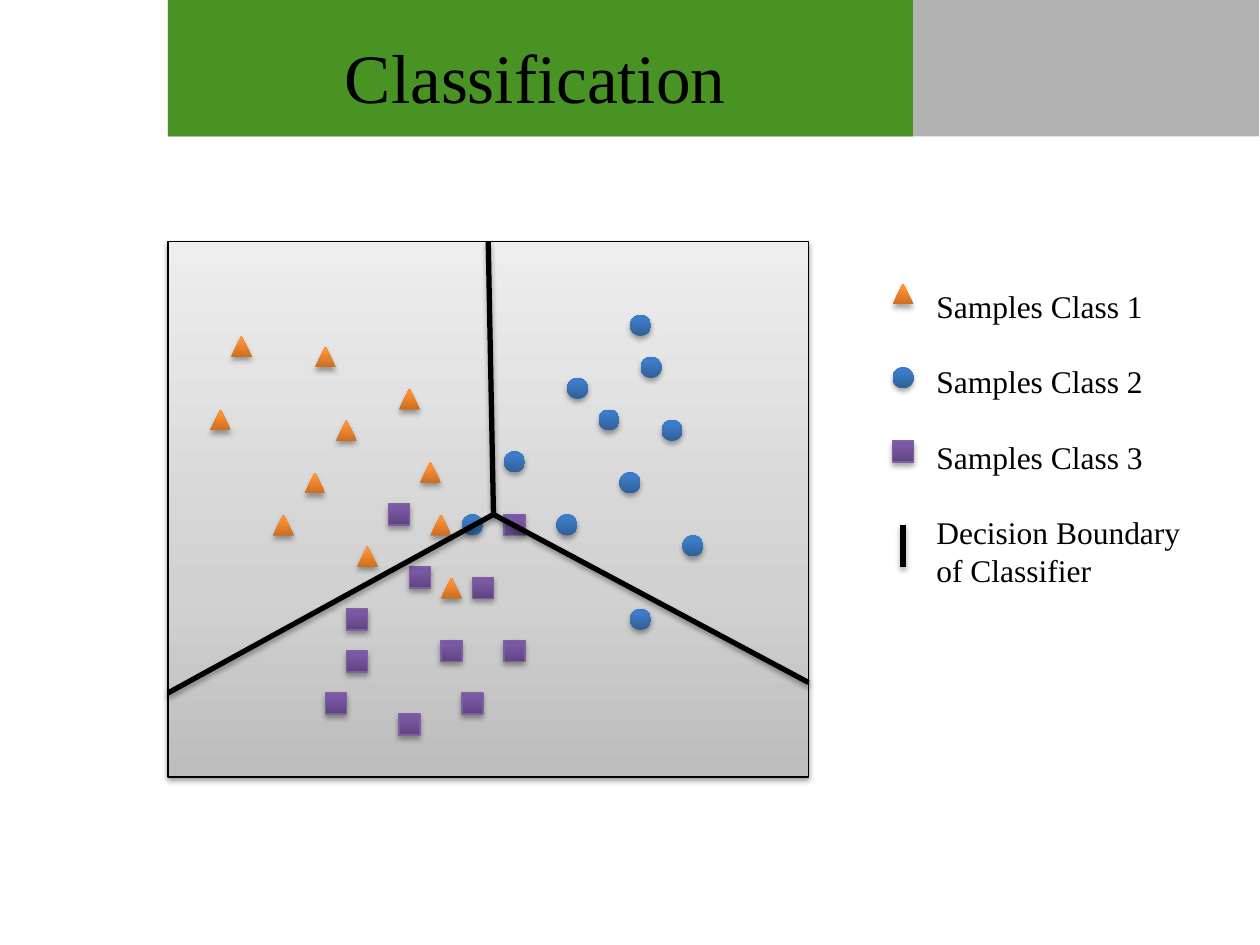
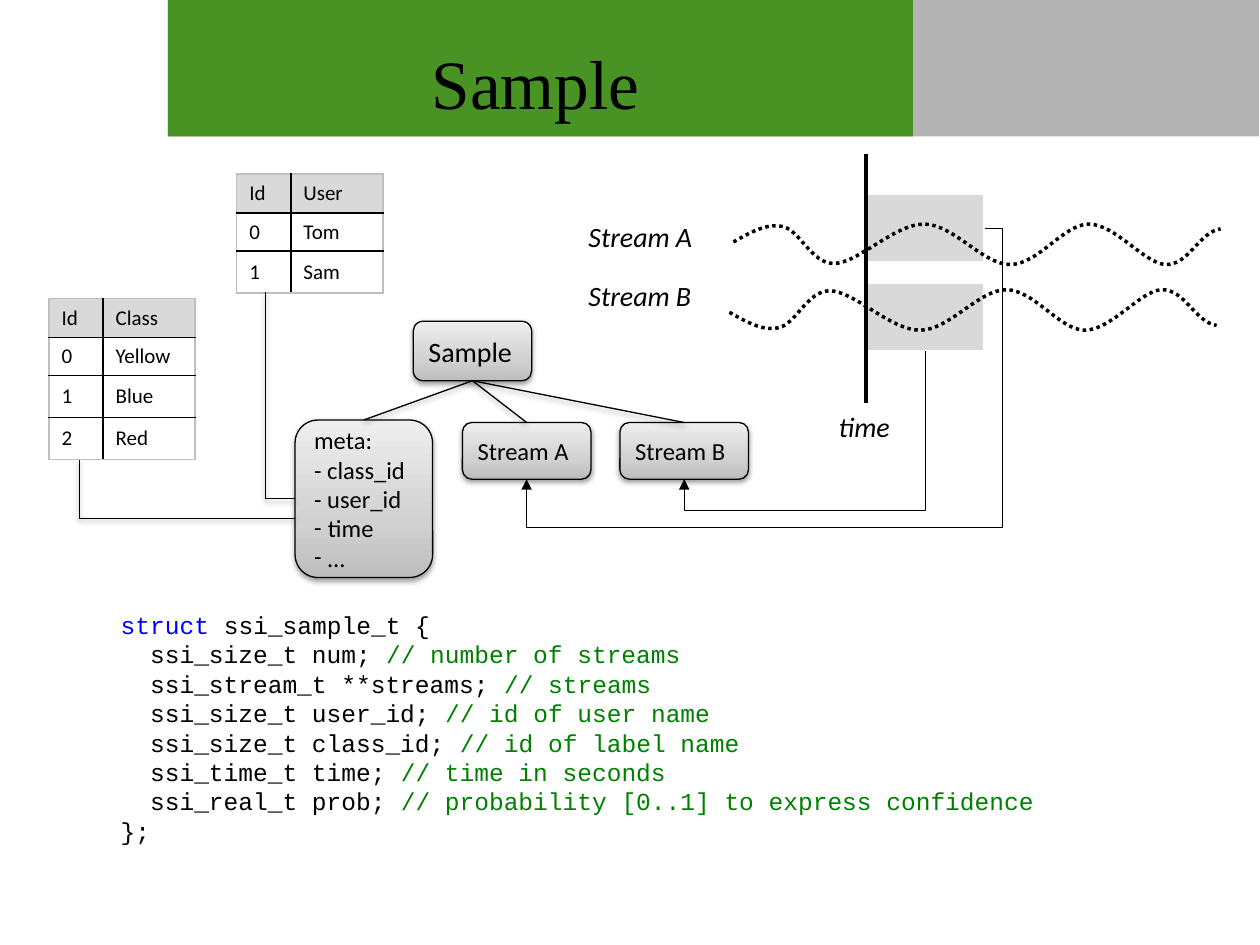
from copy import deepcopy
from dataclasses import dataclass
from typing import Optional, Sequence

from lxml import etree
from pptx import Presentation
from pptx.dml.color import RGBColor
from pptx.enum.dml import MSO_LINE
from pptx.enum.shapes import MSO_CONNECTOR, MSO_SHAPE
from pptx.enum.text import MSO_ANCHOR, PP_ALIGN
from pptx.oxml.ns import qn
from pptx.util import Inches, Pt

WIDTH, HEIGHT = Inches(10), Inches(7.5)
CELL = WIDTH / 120
RECTANGLE, ROUNDED = MSO_SHAPE.RECTANGLE, MSO_SHAPE.ROUNDED_RECTANGLE
TRIANGLE, CIRCLE = MSO_SHAPE.ISOSCELES_TRIANGLE, MSO_SHAPE.OVAL
STRAIGHT, ELBOW = MSO_CONNECTOR.STRAIGHT, MSO_CONNECTOR.ELBOW
DOTTED, MIDDLE = MSO_LINE.ROUND_DOT, MSO_ANCHOR.MIDDLE
LEFT, CENTER = PP_ALIGN.LEFT, PP_ALIGN.CENTER
TOP_SIDE, LEFT_SIDE, BOTTOM_SIDE, RIGHT_SIDE = range(4)
SERIF, SANS, MONO = "Times New Roman", "Calibri", "Courier New"
COLORS = {
    "black": "000000", "white": "FFFFFF", "green": "489324", "gray": "B3B3B3",
    "pale": "D9D9D9", "edge": "BFBFBF", "violet": "7D60A0",
    "keyword": "0000FF", "comment": "008000",
}
PANEL_STOPS = ((0, "BDBDBD"), (0.35, "D1D1D1"), (1, "EEEEEE"))
ORANGE_STOPS = ((0, "CC6E20"), (0.8, "FF9034"), (1, "FF9136"))
BLUE_STOPS = ((0, "2F5F99"), (0.8, "3D7CC7"), (1, "3A7CCB"))
VIOLET_STOPS = ((0, "5F4480"), (0.8, "7B58A6"), (1, "7C57A8"))


@dataclass(frozen=True)
class Frame:
    """A place on the 120 by 90 grid of the slide."""
    left: float
    top: float
    width: float
    height: float

    def lengths(self) -> list[int]:
        """Return the place as lengths."""
        return [cells(value) for value in (self.left, self.top, self.width, self.height)]


@dataclass(frozen=True)
class Shadow:
    """A shadow straight below its object."""
    alpha: int
    distance: float


@dataclass(frozen=True)
class SampleClass:
    """One class of samples: its marker, its legend row and its points."""
    preset: int
    stops: tuple
    outline: Optional[str]
    legend_row: float
    points: tuple


@dataclass(frozen=True)
class Node:
    """A box of the sample tree, with plain lines and dashed items."""
    frame: Frame
    lines: tuple
    items: tuple = ()
    size: int = 14


@dataclass(frozen=True)
class Lookup:
    """A small table of ids and names."""
    left: float
    top: float
    rows: tuple


PANEL_SHADOW, MARK_SHADOW = Shadow(38, 1.6), Shadow(35, 1.8)
CLASSES = (
    SampleClass(TRIANGLE, ORANGE_STOPS, None, 27, (
        (22, 32), (30, 33), (20, 39), (26, 49), (32, 40), (29, 45),
        (38, 37), (34, 52), (40, 44), (41, 49), (42, 55))),
    SampleClass(CIRCLE, BLUE_STOPS, None, 35, (
        (60, 30), (57, 39), (61, 34), (59, 45), (63, 40), (48, 43),
        (53, 49), (65, 51), (60, 58), (54, 36), (44, 49))),
    SampleClass(RECTANGLE, VIOLET_STOPS, "violet", 42, (
        (45, 55), (38, 68), (42, 61), (44, 66), (48, 61), (48, 49),
        (31, 66), (33, 58), (39, 54), (33, 62), (37, 48))),
)
LEGEND = ("Samples Class 1", "Samples Class 2", "Samples Class 3",
          "Decision Boundary\vof Classifier")
BOUNDARIES = ((46.5, 23, 47, 49), (47, 49, 16, 66), (47, 49, 77, 65), (86, 50, 86, 54))
ROOT = Node(Frame(39.36, 30.6, 11.28, 5.66), ("Sample",), size=16)
META = Node(Frame(28.1, 40, 13.1, 15), ("meta:", "- class_id\v- user_id"), ("time", "…"))
STREAMS = tuple(Node(Frame(left, 40.24, 12.24, 5.4), (name,))
                for left, name in ((44.04, "Stream A"), (59.04, "Stream B")))
LOOKUPS = (
    Lookup(4.66, 28.42, (("Id", "Class"), ("0", "Yellow"), ("1", "Blue"), ("2", "Red"))),
    Lookup(22.54, 16.56, (("Id", "User"), ("0", "Tom"), ("1", "Sam"))),
)
LOOKUP_COLUMNS, LOOKUP_ROWS = (5.16, 8.76), (3.72, 3.64, 4, 4)
LABELS = ((Frame(54.86, 20.3, 13.6, 4.4), "Stream A"),
          (Frame(54.86, 25.9, 13.6, 4.4), "Stream B"),
          (Frame(78.7, 38.4, 7.6, 4.4), "time"))
WAVE = ((69.85, 23.05), (71.4, 22.2), (73, 21.2), (74.6, 21.6), (76.2, 22), (77.3, 25.1),
        (79.4, 25.1), (81.7, 25.1), (85.2, 21.35), (88, 21.35), (90.8, 21.35),
        (93.6, 25.2), (96.2, 25.2), (98.9, 25.2), (101.3, 21.35), (103.7, 21.35),
        (106.2, 21.35), (109, 25.1), (111, 25.2), (113.2, 25.3), (114.2, 22.1),
        (116.25, 21.8))
FIELDS = (
    ("ssi_size_t num;", "number of streams"),
    ("ssi_stream_t **streams;", "streams"),
    ("ssi_size_t user_id;", "id of user name"),
    ("ssi_size_t class_id;", "id of label name"),
    ("ssi_time_t time;", "time in seconds"),
    ("ssi_real_t prob;", "probability [0..1] to express confidence"),
)


def cells(count: float) -> int:
    """Turn grid cells into a length."""
    return round(count * CELL)


def color(name: str) -> RGBColor:
    """Look up a named colour."""
    return RGBColor.from_string(COLORS[name])


def set_effect(shape, shadow: Optional[Shadow]) -> None:
    """Give a shape its own shadow, or none."""
    effects = etree.SubElement(shape.element.spPr, qn("a:effectLst"))
    if shadow:
        outer = etree.SubElement(effects, qn("a:outerShdw"), blurRad=str(Pt(3.1)),
                                 dist=str(Pt(shadow.distance)), dir="5400000", rotWithShape="0")
        tint = etree.SubElement(outer, qn("a:srgbClr"), val=COLORS["black"])
        etree.SubElement(tint, qn("a:alpha"), val=str(shadow.alpha * 1000))


def set_line(line, name: Optional[str], width: float) -> None:
    """Colour a line, or hide it."""
    if name is None:
        line.fill.background()
    else:
        line.color.rgb, line.width = color(name), Pt(width)


def set_gradient(shape, stops: Sequence[tuple]) -> None:
    """Fill a shape with three colours from bottom to top."""
    shape.fill.gradient()
    shape.fill.gradient_angle = 90
    stop_list = shape.element.spPr.find(".//" + qn("a:gsLst"))
    stop_list.append(deepcopy(stop_list[0]))
    for stop, (position, tint) in zip(shape.fill.gradient_stops, stops):
        stop.position, stop.color.rgb = position, RGBColor.from_string(tint)


def draw_shape(page, preset: int, frame: Frame, fill, outline: Optional[str] = None,
               width: float = 0.75, shadow: Optional[Shadow] = None):
    """Draw a preset shape with a named colour or gradient stops."""
    shape = page.shapes.add_shape(preset, *frame.lengths())
    if isinstance(fill, str):
        shape.fill.solid()
        shape.fill.fore_color.rgb = color(fill)
    else:
        set_gradient(shape, fill)
    set_line(shape.line, outline, width)
    set_effect(shape, shadow)
    return shape


def draw_connector(page, kind: int, ends: Sequence[float], width: float,
                   shadow: Optional[Shadow] = None):
    """Draw a black connector between two grid points."""
    connector = page.shapes.add_connector(kind, *map(cells, ends))
    set_line(connector.line, "black", width)
    set_effect(connector, shadow)
    return connector


def bend(connector, preset: str, adjustments: Sequence[int], turns: int = 0) -> None:
    """Set the bends of an elbow, turning its frame by quarters."""
    geometry = connector.element.spPr.find(qn("a:prstGeom"))
    geometry.set("prst", preset)
    guides = geometry.find(qn("a:avLst"))
    for index, value in enumerate(adjustments, 1):
        etree.SubElement(guides, qn("a:gd"), name=f"adj{index}", fmla=f"val {value}")
    if turns:
        frame = connector.element.spPr.find(qn("a:xfrm"))
        for flip in ("flipH", "flipV"):
            frame.attrib.pop(flip, None)
        frame.set("rot", str(turns * 5400000))
    if turns % 2:
        width, height = connector.width, connector.height
        connector.left += (width - height) // 2
        connector.top += (height - width) // 2
        connector.width, connector.height = height, width


def add_arrowhead(connector) -> None:
    """Put a triangle at the end of a connector."""
    etree.SubElement(connector.line._get_or_add_ln(), qn("a:tailEnd"), type="triangle")


def set_font(font, name: str, size: float, tint: str = "black", italic: bool = False) -> None:
    """Format a font."""
    font.name, font.size, font.color.rgb = name, Pt(size), color(tint)
    if italic:
        font.italic = True


def add_text_box(page, frame: Frame, wrap: bool = False):
    """Add an empty text box and return its text frame."""
    text = page.shapes.add_textbox(*frame.lengths()).text_frame
    text.word_wrap = wrap
    return text


def next_paragraph(text, index: int):
    """Return the first paragraph, or a new one after it."""
    return text.add_paragraph() if index else text.paragraphs[0]


def add_bands(page, layout) -> None:
    """Put the two header bands on the layout."""
    for index, (width, fill) in enumerate(((103.92, "gray"), (70.95, "green"))):
        band = draw_shape(page, RECTANGLE, Frame(16, 0, width, 13), fill)
        layout.shapes.element.insert(2 + index, band.element)


def set_title(page, words: str, top: float) -> None:
    """Place and format the title."""
    title = page.shapes.title
    title.left, title.top, title.width, title.height = Frame(16, top, 70, 8.4).lengths()
    title.text_frame.text = words
    title.text_frame.vertical_anchor = MIDDLE
    para = title.text_frame.paragraphs[0]
    para.alignment = CENTER
    set_font(para.font, SERIF, 39.6)


def draw_node(page, node: Node):
    """Draw a tree box with its plain lines, then its dashed items."""
    box = draw_shape(page, ROUNDED, node.frame, PANEL_STOPS, "black", shadow=PANEL_SHADOW)
    box.text_frame.vertical_anchor = MIDDLE
    for index, line in enumerate(node.lines + node.items):
        para = next_paragraph(box.text_frame, index)
        para.text, para.alignment = line, LEFT
        if index >= len(node.lines):
            layout = para._p.get_or_add_pPr()
            layout.set("marL", str(Inches(0.11)))
            layout.set("indent", str(-Inches(0.11)))
            etree.SubElement(layout, qn("a:buFont"), typeface=SANS)
            etree.SubElement(layout, qn("a:buChar"), char="-")
        set_font(para.font, SANS, node.size)
    return box


def draw_lookup(page, lookup: Lookup) -> None:
    """Draw a lookup table with black inner and pale outer borders."""
    heights = LOOKUP_ROWS[:len(lookup.rows)]
    frame = Frame(lookup.left, lookup.top, sum(LOOKUP_COLUMNS), sum(heights))
    table = page.shapes.add_table(len(heights), 2, *frame.lengths()).table
    table.first_row = table.horz_banding = False
    for column, width in zip(table.columns, LOOKUP_COLUMNS):
        column.width = cells(width)
    for r, (words, height) in enumerate(zip(lookup.rows, heights)):
        table.rows[r].height = cells(height)
        for c, word in enumerate(words):
            cell = table.cell(r, c)
            cell.text, cell.vertical_anchor = word, MIDDLE
            cell.margin_top = cell.margin_bottom = Inches(0.04)
            set_font(cell.text_frame.paragraphs[0].font, SANS, 12)
            outer = {"L": c == 0, "R": c == 1, "T": r == 0, "B": r == len(heights) - 1}
            for side, is_outer in outer.items():
                border = etree.SubElement(cell._tc.get_or_add_tcPr(), qn(f"a:ln{side}"), w=str(Pt(1)))
                fill = etree.SubElement(border, qn("a:solidFill"))
                etree.SubElement(fill, qn("a:srgbClr"), val=COLORS["edge" if is_outer else "black"])
            if r == 0:
                cell.fill.solid()
                cell.fill.fore_color.rgb = color("pale")
            else:
                cell.fill.background()


def draw_wave(page, knots: Sequence[tuple]) -> None:
    """Draw a dotted curve, turning each three segments into one cubic."""
    points = [(cells(x), cells(y)) for x, y in knots]
    builder = page.shapes.build_freeform(*points[0])
    builder.add_line_segments(points[1:], close=False)
    wave = builder.convert_to_shape()
    segments = list(wave.element.spPr.iter(qn("a:lnTo")))
    outline = segments[0].getparent()
    for first in range(0, len(segments), 3):
        cubic = etree.SubElement(outline, qn("a:cubicBezTo"))
        for segment in segments[first:first + 3]:
            cubic.append(segment[0])
            outline.remove(segment)
    wave.fill.background()
    set_line(wave.line, "black", 2)
    wave.line.dash_style = DOTTED
    set_effect(wave, None)


def draw_code(page) -> None:
    """Write the structure with coloured keyword and comments."""
    lines = [(("struct ", "keyword"), ("ssi_sample_t {", "black"))]
    lines += [((f"  {field} ", "black"), (f"// {note}", "comment")) for field, note in FIELDS]
    lines.append((("};", "black"),))
    para = add_text_box(page, Frame(10.32, 57.5, 101.28, 30.24), wrap=True).paragraphs[0]
    para.line_spacing = Pt(16.8)
    for index, spans in enumerate(lines):
        if index:
            para.add_line_break()
        for words, tint in spans:
            span = para.add_run()
            span.text = words
            set_font(span.font, MONO, 14, tint)


def build_classification(page) -> None:
    """Draw the scatter of three classes, its boundaries and legend."""
    set_title(page, "Classification", 3)
    field = draw_shape(page, ROUNDED, Frame(16, 23, 61, 51), PANEL_STOPS, "black", shadow=PANEL_SHADOW)
    field.adjustments[0] = 0
    for group in CLASSES:
        for left, top in (*group.points, (85, group.legend_row)):
            draw_shape(page, group.preset, Frame(left, top, 2, 2), group.stops,
                       group.outline, shadow=MARK_SHADOW)
    text = add_text_box(page, Frame(88, 26.7, 25.9, 30.2))
    for index, entry in enumerate(LEGEND):
        para = next_paragraph(text, index)
        para.text, para.line_spacing = entry, Pt(21.6)
        if index:
            para.space_before = Pt(21.6)
        set_font(para.font, SERIF, 18)
    for ends in BOUNDARIES:
        draw_connector(page, STRAIGHT, ends, 3, MARK_SHADOW)


def build_sample(page) -> None:
    """Draw the sample tree, its tables, its streams and the code."""
    window_b, window_a = [draw_shape(page, RECTANGLE, Frame(82.54, top, 11.24, 6.6), "pale", "white", 2)
                          for top in (26.86, 18.44)]
    set_title(page, "Sample", 3.6)
    draw_code(page)
    root, meta, stream_a, stream_b = [draw_node(page, node) for node in (ROOT, META, *STREAMS)]
    for child in (meta, stream_a, stream_b):
        branch = draw_connector(page, STRAIGHT, (0, 0, 1, 1), 0.75, PANEL_SHADOW)
        branch.begin_connect(root, BOTTOM_SIDE)
        branch.end_connect(child, TOP_SIDE)
    draw_wave(page, WAVE)
    draw_wave(page, [(x - 0.38, 52.8 - y) for x, y in WAVE])
    for frame, words in LABELS:
        para = add_text_box(page, frame).paragraphs[0]
        para.text = words
        set_font(para.font, SANS, 16, italic=True)
    for window, side, stream, preset, adjustments, turns in (
            (window_b, BOTTOM_SIDE, stream_b, "bentConnector3", (124600,), 1),
            (window_a, RIGHT_SIDE, stream_a, "bentConnector4", (-4000, 119300), 0)):
        arrow = draw_connector(page, ELBOW, (0, 0, 1, 1), 0.5)
        arrow.begin_connect(window, side)
        arrow.end_connect(stream, BOTTOM_SIDE)
        bend(arrow, preset, adjustments, turns)
        add_arrowhead(arrow)
    draw_connector(page, STRAIGHT, (82.5, 14.65, 82.5, 38.4), 2)
    class_link = draw_connector(page, ELBOW, (28.1, 49.35, 7.5, 43.8), 0.75, PANEL_SHADOW)
    bend(class_link, "bentConnector3", (99700,), 2)
    for lookup in LOOKUPS:
        draw_lookup(page, lookup)
    user_link = draw_connector(page, ELBOW, (28.1, 47.5, 25.3, 27.8), 0.75, PANEL_SHADOW)
    user_link.begin_connect(meta, LEFT_SIDE)
    bend(user_link, "bentConnector2", (), 2)


def main() -> None:
    """Build the deck."""
    deck = Presentation()
    deck.slide_width, deck.slide_height = WIDTH, HEIGHT
    layout = deck.slide_layouts[5]
    pages = [deck.slides.add_slide(layout) for _ in range(2)]
    add_bands(pages[0], layout)
    build_classification(pages[0])
    build_sample(pages[1])
    deck.save("out.pptx")


if __name__ == "__main__":
    main()
